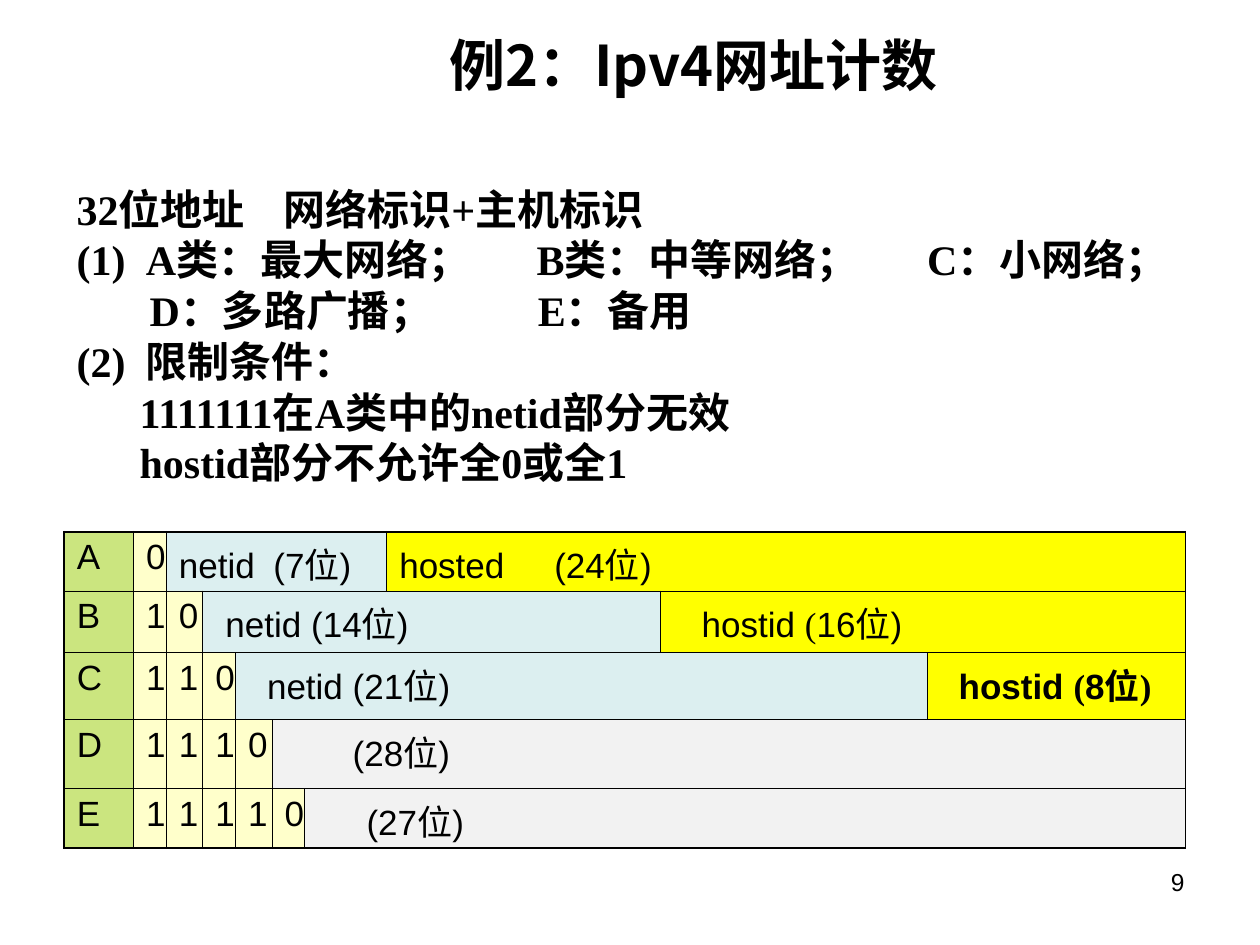
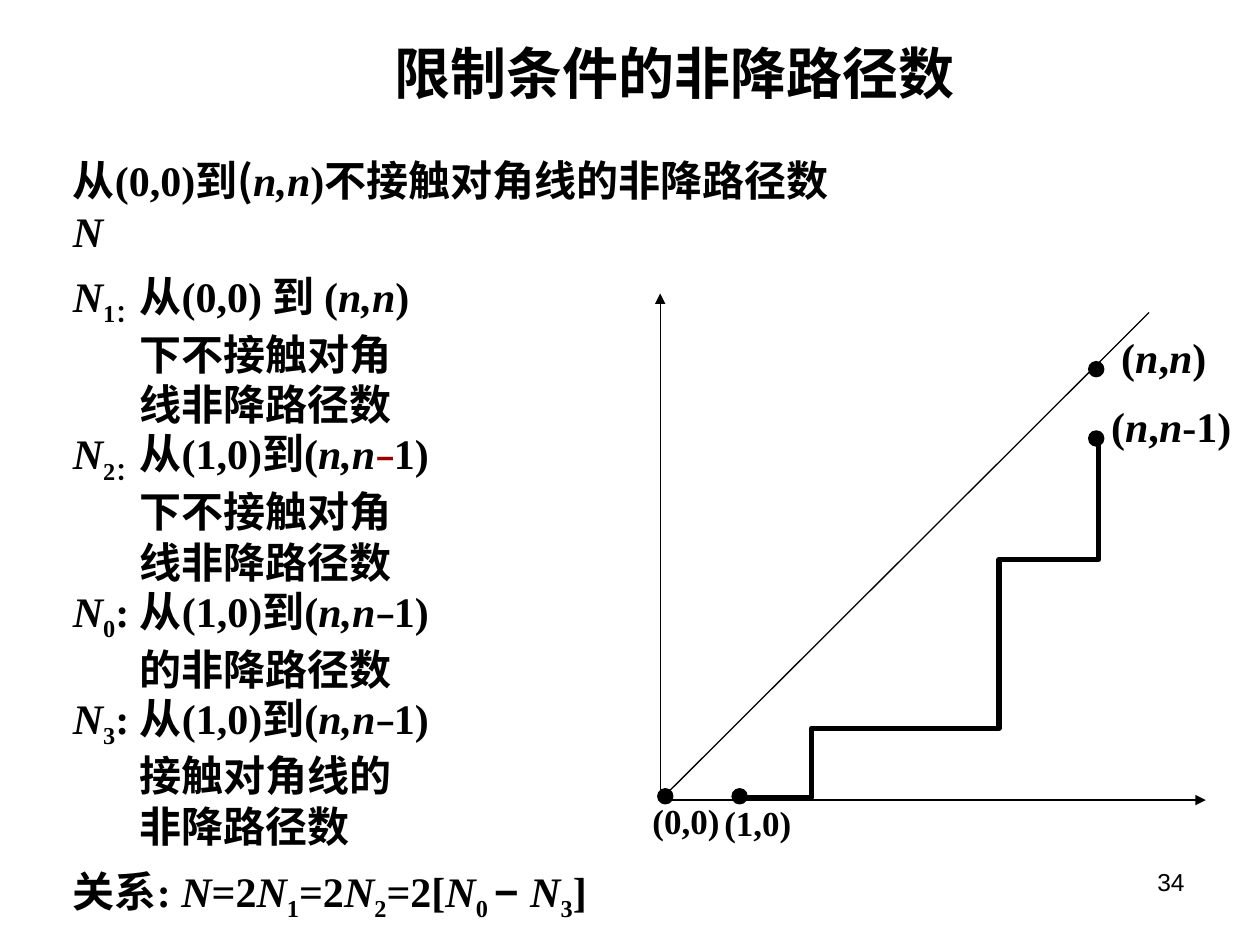
from dataclasses import dataclass
from typing import NamedTuple

from lxml.etree import SubElement
from pptx import Presentation
from pptx.dml.color import RGBColor
from pptx.enum.shapes import MSO_CONNECTOR, MSO_SHAPE
from pptx.enum.text import MSO_ANCHOR, MSO_AUTO_SIZE, PP_ALIGN
from pptx.oxml.ns import qn
from pptx.util import Inches, Pt

BLACK = RGBColor(0, 0, 0)
RED = RGBColor(0x99, 0, 0)
GREEN = RGBColor(0x99, 0xCC, 0)
CREAM = RGBColor(0xFF, 0xFF, 0x99)
BLUE = RGBColor(0xBB, 0xE0, 0xE3)
YELLOW = RGBColor(0xFF, 0xFF, 0)
GRAY = RGBColor(0xF2, 0xF2, 0xF2)
SHEER = (GREEN, CREAM, BLUE)

SANS = "Arial"
SERIF = "Times New Roman"
HAN = "Noto Sans CJK SC"


class Run(NamedTuple):
    text: str
    ital: bool = False
    sub: bool = False
    font: str | None = None
    size: float | None = None
    color: RGBColor | None = None


@dataclass
class Para:
    runs: list[Run]
    left: float = 0
    tabs: tuple[float, ...] = ()
    before: float = 0


@dataclass
class Look:
    size: float
    font: str = SERIF
    bold: bool = True
    align: PP_ALIGN = PP_ALIGN.LEFT
    pitch: float | None = None


@dataclass
class Field:
    para: Para
    span: int
    color: RGBColor
    bold: bool = False


@dataclass
class Class:
    name: str
    bits: str
    fields: list[Field]


def plain(text: str, left: float = 0, tabs: tuple[float, ...] = ()) -> Para:
    return Para([Run(text)], left, tabs)


def fill_text(frame, paras: list[Para], look: Look) -> None:
    for i, item in enumerate(paras):
        para = frame.add_paragraph() if i else frame.paragraphs[0]
        props = para._p.get_or_add_pPr()
        if item.left:
            props.set("marL", str(Inches(item.left)))
            props.set("indent", "0")
        if item.tabs:
            stops = SubElement(props, qn("a:tabLst"))
            for stop in item.tabs:
                SubElement(stops, qn("a:tab"), pos=str(Inches(stop)), algn="l")
        para.alignment = look.align
        if look.pitch:
            para.line_spacing = Pt(look.pitch)
        if item.before:
            para.space_before = Pt(item.before)
        font = para.font
        font.size, font.bold, font.name = Pt(look.size), look.bold, look.font
        font.color.rgb = BLACK
        SubElement(props.find(qn("a:defRPr")), qn("a:ea"), typeface=HAN)
        for part in item.runs:
            if part.text == "\n":
                para.add_line_break()
            else:
                add_run(para, part)


def add_run(para, part: Run) -> None:
    run = para.add_run()
    run.text = part.text
    if part.ital:
        run.font.italic = True
    if part.font:
        run.font.name = part.font
    if part.size:
        run.font.size = Pt(part.size)
    if part.color is not None:
        run.font.color.rgb = part.color
    if part.sub:
        run._r.get_or_add_rPr().set("baseline", "-25000")


def add_text(slide, box: tuple[float, ...], paras: list[Para], look: Look,
             mid: bool = False, wrap: bool = True, grow: bool = False) -> None:
    frame = slide.shapes.add_textbox(*map(Inches, box)).text_frame
    frame.word_wrap = wrap
    if mid:
        frame.vertical_anchor = MSO_ANCHOR.MIDDLE
    if grow:
        frame.auto_size = MSO_AUTO_SIZE.SHAPE_TO_FIT_TEXT
    fill_text(frame, paras, look)


def add_frame(deck, title: str, box: tuple[float, ...], page: int):
    slide = deck.slides.add_slide(deck.slide_layouts[6])
    add_text(slide, box, [plain(title)],
             Look(32, HAN, align=PP_ALIGN.CENTER), mid=True)
    add_text(slide, (7.17, 6.83, 2.33, 0.52), [plain(str(page))],
             Look(14, SANS, False, PP_ALIGN.RIGHT))
    return slide


BODY = Look(24, pitch=29)

RULES = [
    plain("32位地址\t网络标识+主机标识", tabs=(1.64,)),
    plain("(1)\tA类：最大网络；\tB类：中等网络；\tC：小网络；", tabs=(0.55, 3.65, 6.75)),
    plain("\tD：多路广播；\tE：备用", tabs=(0.58, 3.66)),
    plain("(2)\t限制条件：", tabs=(0.55,)),
    plain("1111111在A类中的netid部分无效", 0.5),
    plain("hostid部分不允许全0或全1", 0.5),
]

OPEN = Run("(", font=SERIF)
CLASSES = [
    Class("A", "0", [
        Field(plain("netid\t(7位)", tabs=(0.75,)), 5, BLUE),
        Field(plain("hosted\t(24位)", tabs=(1.23,)), 3, YELLOW)]),
    Class("B", "10", [
        Field(plain("netid (14位)", 0.08), 5, BLUE),
        Field(Para([Run("hostid "), OPEN, Run("16位)")], 0.23), 2, YELLOW)]),
    Class("C", "110", [
        Field(plain("netid (21位)", 0.15), 5, BLUE),
        Field(Para([Run("hostid "), OPEN, Run("8"), Run("位)", font=SERIF)], 0.15),
              1, YELLOW, True)]),
    Class("D", "1110", [Field(plain("(28位)", 0.54), 5, GRAY)]),
    Class("E", "11110", [Field(plain("(27位)", 0.39), 4, GRAY)]),
]
WIDTHS = (0.55, 0.26, 0.29, 0.26, 0.29, 0.26, 0.65, 2.17, 2.12, 2.05)
HEIGHTS = (0.47, 0.49, 0.53, 0.55, 0.47)


def set_edges(cell, outer: dict[str, bool]) -> None:
    props = cell._tc.get_or_add_tcPr()
    for side, edge in outer.items():
        line = SubElement(props, qn(f"a:ln{side}"), w=str(Pt(1.08 if edge else 0.45)))
        paint = SubElement(line, qn("a:solidFill"))
        SubElement(paint, qn("a:srgbClr"), val=str(BLACK))


def set_fill(cell, color: RGBColor) -> None:
    cell.fill.solid()
    cell.fill.fore_color.rgb = color
    if color in SHEER:
        paint = cell._tc.tcPr.find(qn("a:solidFill"))
        SubElement(paint[0], qn("a:alpha"), val="50000")


def add_classes(slide) -> None:
    rows, cols = len(HEIGHTS), len(WIDTHS)
    table = slide.shapes.add_table(
        rows, cols, Inches(0.51), Inches(4.22),
        Inches(sum(WIDTHS)), Inches(sum(HEIGHTS))).table
    table.first_row = table.horz_banding = False
    for col, width in zip(table.columns, WIDTHS):
        col.width = Inches(width)
    for row, height in zip(table.rows, HEIGHTS):
        row.height = Inches(height)
    for y, item in enumerate(CLASSES):
        fields = [Field(plain(item.name), 1, GREEN)]
        fields += [Field(plain(bit), 1, CREAM) for bit in item.bits]
        x = 0
        for field in fields + item.fields:
            end = x + field.span
            outer = {"L": x == 0, "R": end == cols, "T": y == 0, "B": y == rows - 1}
            for col in range(x, end):
                cell = table.cell(y, col)
                set_edges(cell, outer)
                set_fill(cell, field.color)
            head = table.cell(y, x)
            if field.span > 1:
                head.merge(table.cell(y, end - 1))
            align = PP_ALIGN.CENTER if x == 1 else PP_ALIGN.LEFT
            fill_text(head.text_frame, [field.para], Look(20, SANS, field.bold, align))
            x = end


BIG, SMALL, PAIR = (Run(text, ital=True) for text in ("N", "n", "n,n"))
END = Run("1)")


def sub(text: str) -> Run:
    return Run(text, sub=True)


def minus(color: RGBColor = BLACK) -> Run:
    return Run("−", True, font=SANS, size=18, color=color)


def count(mark: str, lead: str, tail: list[Run], lines: list[str],
          before: float = 3) -> list[Para]:
    head = Para([BIG, sub(mark), Run(lead), PAIR, *tail], before=before)
    return [head] + [plain(line, 0.53) for line in lines]


BELOW = ["下不接触对角", "线非降路径数"]
COUNTS = [
    Para([Run("从", font=HAN), Run("(0,0)"), Run("到(", font=HAN), PAIR, Run(")"),
          Run("不接触对角线的非降路径数", font=HAN), Run("\n"), BIG]),
    *count("1：", "从(0,0) 到 (", [Run(")")], BELOW, 12),
    *count("2：", "从(1,0)到(", [minus(RED), END], BELOW),
    *count("0", ": 从(1,0)到(", [minus(), END], ["的非降路径数"]),
    *count("3", ": 从(1,0)到(", [minus(), END], ["接触对角线的", "非降路径数"]),
    Para([Run("关系: "), BIG, Run("=2"), BIG, sub("1"), Run("=2"), BIG, sub("2"),
          Run("=2["), BIG, sub("0 "), Run("− ", font=SANS), BIG, sub("3"), Run("]")],
         before=12),
]

AXES = [(5.24, 6.35, 9.57, 6.35), (5.24, 6.35, 5.24, 2.33)]
SLOPE = (5.26, 6.33, 9.12, 2.48)
DOTS = [(5.22, 6.26), (5.81, 6.26), (8.64, 2.87), (8.64, 3.42)]
STEPS = [(5.89, 6.33), (6.44, 6.33), (6.44, 5.78), (7.93, 5.78),
         (7.93, 4.44), (8.72, 4.44), (8.72, 3.5)]
LABELS = [
    ((5.08, 6.3, 0.73, 0.44), 20, [Run("(0,0)")]),
    ((5.65, 6.31, 0.73, 0.44), 20, [Run("(1,0)")]),
    ((8.72, 3.13, 1.18, 0.5), 24, [Run("("), SMALL, Run(","), SMALL, Run("-1)")]),
    ((8.8, 2.58, 0.9, 0.5), 24, [Run("("), SMALL, Run(","), SMALL, Run(")")]),
]


def add_line(slide, ends: tuple[float, ...], arrow: bool) -> None:
    line = slide.shapes.add_connector(MSO_CONNECTOR.STRAIGHT, *map(Inches, ends))
    line.line.color.rgb = BLACK
    line.line.width = Pt(0.75)
    if arrow:
        SubElement(line.line._get_or_add_ln(), qn("a:tailEnd"), type="triangle")
    SubElement(line._element.spPr, qn("a:effectLst"))


def add_graph(slide) -> None:
    for axis in AXES:
        add_line(slide, axis, True)
    add_line(slide, SLOPE, False)
    for x, y in DOTS:
        dot = slide.shapes.add_shape(
            MSO_SHAPE.OVAL, Inches(x), Inches(y), Inches(0.12), Inches(0.12))
        dot.shadow.inherit = False
        dot.fill.solid()
        dot.fill.fore_color.rgb = dot.line.color.rgb = BLACK
        dot.line.width = Pt(0.75)
    first, *rest = [(Inches(x), Inches(y)) for x, y in STEPS]
    pen = slide.shapes.build_freeform(*first)
    pen.add_line_segments(rest, close=False)
    steps = pen.convert_to_shape()
    steps.shadow.inherit = False
    steps.fill.background()
    steps.line.color.rgb = BLACK
    steps.line.width = Pt(3)
    for box, size, runs in LABELS:
        add_text(slide, box, [Para(runs)], Look(size), wrap=False, grow=True)


def main() -> None:
    deck = Presentation()
    deck.slide_width, deck.slide_height = Inches(10), Inches(7.5)

    slide = add_frame(deck, "例2：Ipv4网址计数", (2.16, 0.28, 6.69, 0.46), 9)
    add_classes(slide)
    add_text(slide, (0.51, 1.41, 8.98, 2.5), RULES, BODY, mid=True, grow=True)

    slide = add_frame(deck, "限制条件的非降路径数", (2.01, 0.25, 6.69, 0.64), 34)
    add_text(slide, (0.48, 1.36, 6.9, 5.83), COUNTS, BODY, mid=True, grow=True)
    add_graph(slide)

    deck.save("out.pptx")


if __name__ == "__main__":
    main()
